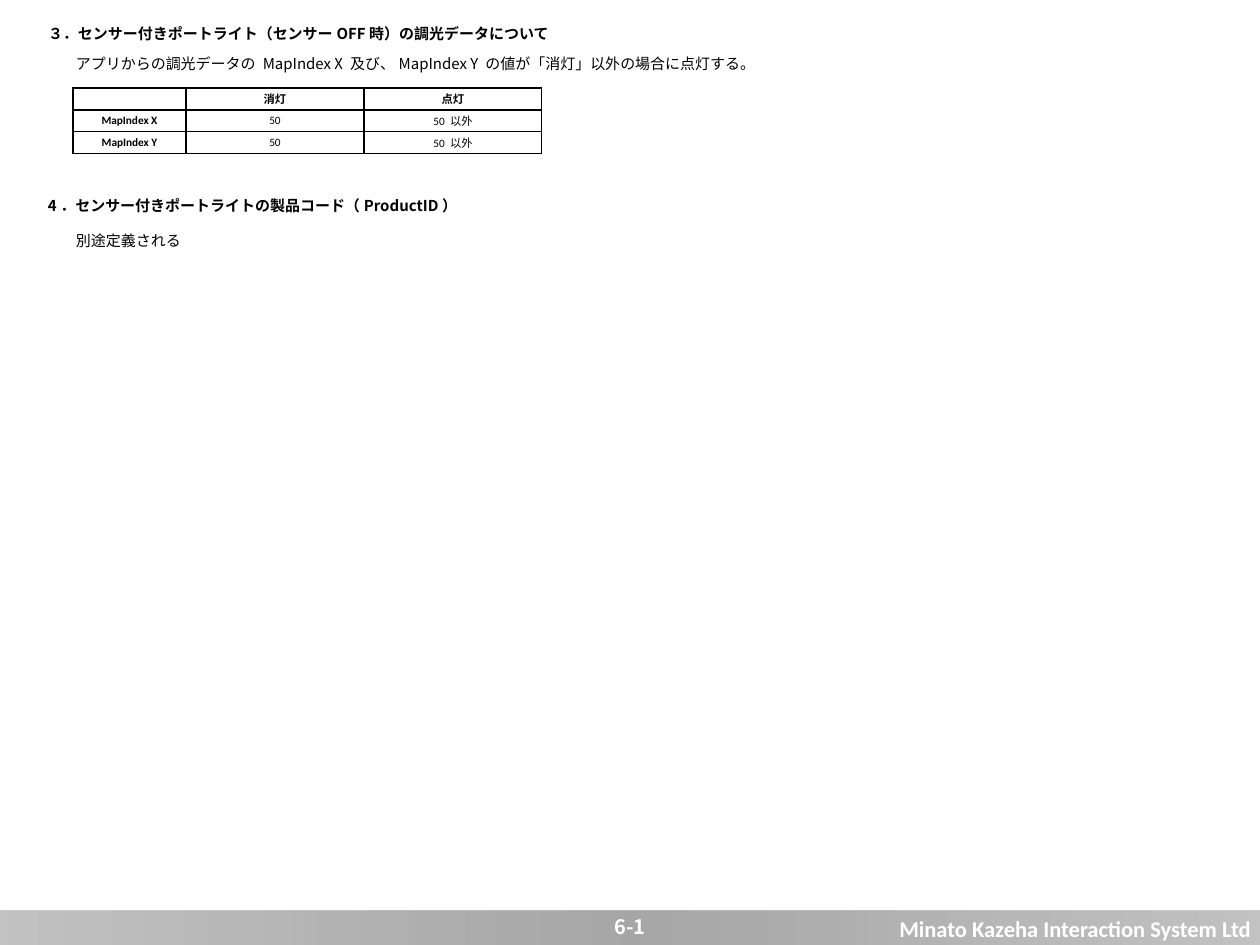
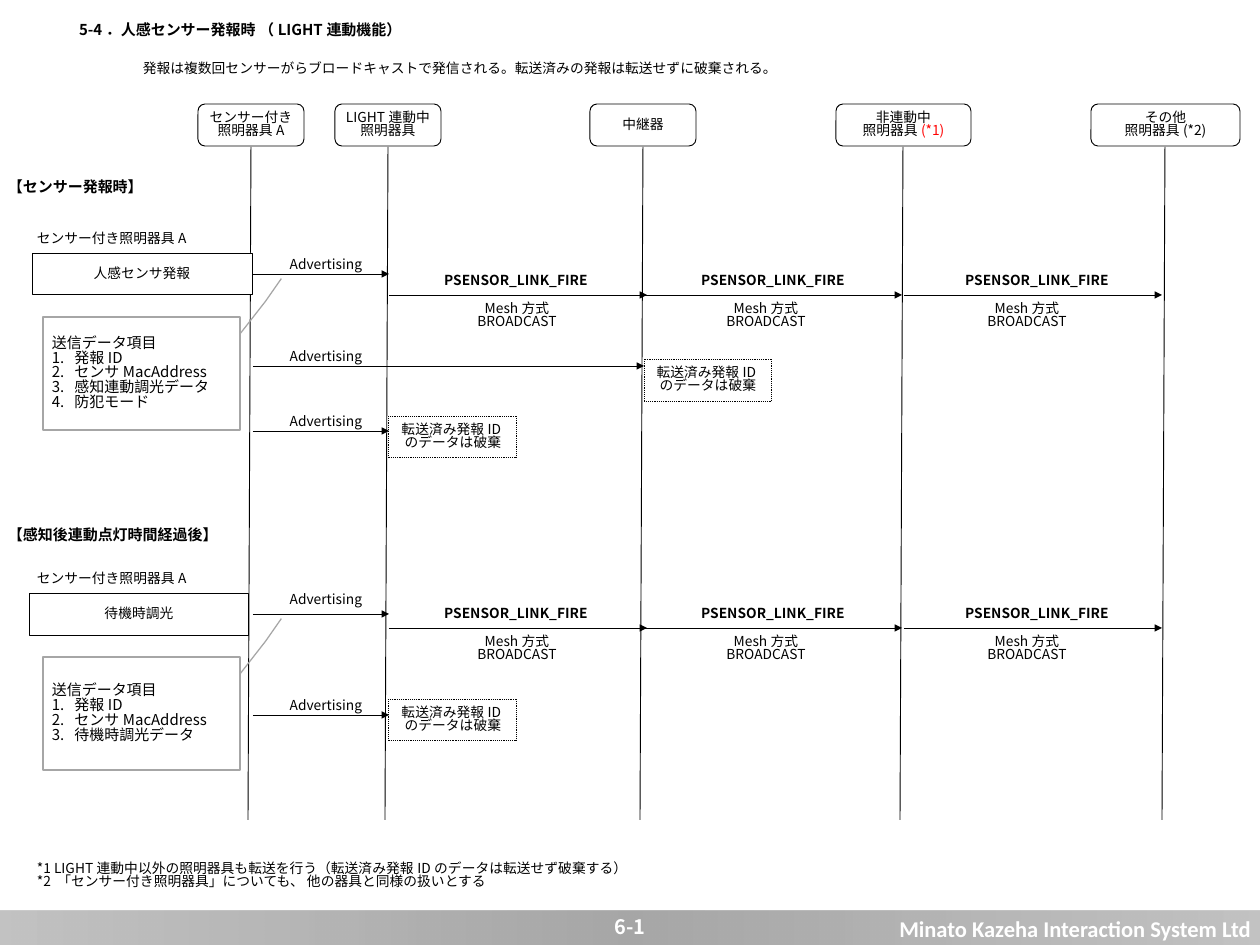
from lxml.etree import SubElement
from pptx import Presentation
from pptx.dml.color import RGBColor
from pptx.enum.dml import MSO_LINE
from pptx.enum.shapes import MSO_CONNECTOR as Connector, MSO_SHAPE as Shape
from pptx.enum.text import MSO_ANCHOR as Anchor, MSO_AUTO_SIZE as AutoSize, PP_ALIGN as Align
from pptx.oxml import parse_xml
from pptx.oxml.ns import nsdecls, qn
from pptx.util import Emu, Pt

PX = 914400 // 90
WIDTH, HEIGHT = 1260, 945
COLORS = {"ink": "000000", "paper": "FFFFFF", "callout": "A6A6A6", "mark": "FF0000",
          "band_edge": "C0C0C0", "band_middle": "A7A7A7"}
GOTHIC, LATIN = "Noto Sans CJK JP", "Calibri"
COMPANY = "Minato Kazeha Interaction System Ltd"
PAGE_LABEL = "6-1"
ROW = 42


def px(*lengths):
    return [Emu(length * PX) for length in lengths]


def rgb(name):
    return RGBColor.from_string(COLORS[name])


class Deck:
    """Holds the shared style and the slide being filled."""

    def __init__(self):
        self.presentation = Presentation()
        self.presentation.slide_width, self.presentation.slide_height = px(WIDTH, HEIGHT)
        self.layout = self.presentation.slide_layouts[5]
        self.slide = None

    def new_slide(self, title, left, top):
        first = self.slide is None
        self.slide = self.presentation.slides.add_slide(self.layout)
        if first:
            self.add_band()
        shape = self.slide.shapes.title
        shape.left, shape.top, shape.width, shape.height = px(left, top, 814, 27)
        shape.text_frame.auto_size = AutoSize.NONE
        self.set_text(shape.text_frame, [title], 12, bold=True, anchor=Anchor.TOP)
        self.text(PAGE_LABEL, 0, 914, WIDTH, 33, 16, True, Align.CENTER, Anchor.TOP, "paper")

    def add_band(self):
        """Draw the footer band and hand it to the layout."""
        band = self.box([COMPANY], 0, 911, WIDTH, 36, size=18, bold=True, color="paper",
                        font=LATIN, align=Align.RIGHT, fill=None, line=None)
        stops = "".join(
            f'<a:gs pos="{position}"><a:srgbClr val="{COLORS[name]}">'
            f'<a:alpha val="{alpha}"/></a:srgbClr></a:gs>'
            for position, name, alpha in ((0, "band_edge", 95000), (50000, "band_middle", 100000),
                                          (100000, "band_edge", 95000)))
        gradient = parse_xml(f'<a:gradFill {nsdecls("a")}><a:gsLst>{stops}</a:gsLst>'
                             '<a:lin ang="0" scaled="0"/></a:gradFill>')
        properties = band._element.spPr
        properties.replace(properties.find(qn("a:noFill")), gradient)
        band._element.nvSpPr.cNvPr.set("id", "20")
        self.layout.shapes._spTree.append(band._element)

    def set_text(self, frame, lines, size, bold=False, align=Align.LEFT, anchor=Anchor.MIDDLE,
                 color="ink", font=GOTHIC):
        frame.word_wrap = True
        frame.vertical_anchor = anchor
        for index, line in enumerate(lines):
            paragraph = frame.add_paragraph() if index else frame.paragraphs[0]
            paragraph.text = line
            paragraph.alignment = align
            if font == GOTHIC:
                paragraph.line_spacing = 0.83
            paragraph.font.size = Pt(size)
            paragraph.font.bold = bold
            paragraph.font.name = font
            paragraph.font.color.rgb = rgb(color)
            SubElement(paragraph._p.pPr.find(qn("a:defRPr")), qn("a:ea"), typeface=GOTHIC)
            if not line:
                SubElement(paragraph._p, qn("a:endParaRPr"), sz=str(size * 100))

    def text(self, line, left, top, width, height=ROW, size=11, bold=False, align=Align.LEFT,
             anchor=Anchor.MIDDLE, color="ink"):
        shape = self.slide.shapes.add_textbox(*px(left, top, width, height))
        self.set_text(shape.text_frame, [line], size, bold, align, anchor, color)

    def box(self, lines, left, top, width, height=ROW, kind=Shape.RECTANGLE, fill="paper",
            line="ink", weight=0.75, dash=None, size=11, align=Align.CENTER, **style):
        shape = self.slide.shapes.add_shape(kind, *px(left, top, width, height))
        shape.shadow.inherit = False
        if fill:
            shape.fill.solid()
            shape.fill.fore_color.rgb = rgb(fill)
        else:
            shape.fill.background()
        if line:
            shape.line.color.rgb = rgb(line)
            shape.line.width = Pt(weight)
            if dash:
                shape.line.dash_style = dash
        else:
            shape.line.fill.background()
        self.set_text(shape.text_frame, lines, size, align=align, **style)
        return shape

    def callout(self, heading, items, left, top):
        shape = self.box([heading, *items], left, top, 197, 113, Shape.LINE_CALLOUT_2,
                         fill=None, line="callout", weight=1, size=12, align=Align.LEFT)
        for index, value in enumerate((0.15, 1, -0.14, 1.13, -0.34, 1.21)):
            shape.adjustments[index] = value
        for index, paragraph in enumerate(shape.text_frame.paragraphs):
            properties = paragraph._p.pPr
            properties.set("marL", "228600")
            properties.set("indent", "-228600")
            if index:
                numbering = parse_xml(f'<a:buAutoNum {nsdecls("a")} type="arabicPeriod"/>')
                properties.find(qn("a:defRPr")).addprevious(numbering)

    def line(self, x1, y1, x2, y2, arrow=False):
        connector = self.slide.shapes.add_connector(Connector.STRAIGHT, *px(x1, y1, x2, y2))
        connector.line.color.rgb = rgb("ink")
        connector.line.width = Pt(0.75)
        properties = connector._element.spPr
        if arrow:
            SubElement(properties.find(qn("a:ln")), qn("a:tailEnd"), type="triangle")
        SubElement(properties, qn("a:effectLst"))

    def table(self, rows, left, top, widths, row_height):
        frame = self.slide.shapes.add_table(
            len(rows), len(widths), *px(left, top, sum(widths), row_height * len(rows)))
        table = frame.table
        table.first_row = table.horz_banding = False
        for column, width in zip(table.columns, px(*widths)):
            column.width = width
        for row_index, values in enumerate(rows):
            table.rows[row_index].height = Emu(row_height * PX)
            for column_index, value in enumerate(values):
                cell = table.cell(row_index, column_index)
                cell.margin_top = cell.margin_bottom = Emu(PX)
                cell.vertical_anchor = Anchor.MIDDLE
                cell.fill.solid()
                cell.fill.fore_color.rgb = rgb("paper")
                heading = row_index == 0 or column_index == 0
                self.set_text(cell.text_frame, [value], 9, heading, Align.CENTER, font=LATIN)
                for index, side in enumerate(("lnL", "lnR", "lnT", "lnB")):
                    border = parse_xml(
                        f'<a:{side} {nsdecls("a")} w="12700"><a:solidFill>'
                        f'<a:srgbClr val="{COLORS["ink"]}"/></a:solidFill></a:{side}>')
                    cell._tc.tcPr.insert(index, border)

    # Parts of the sequence diagram
    def advertising(self, y, end, label_rise=30):
        self.line(253, y, end, y, arrow=True)
        self.text("Advertising", 262, y - label_rise, 128, align=Align.CENTER)

    def discard_note(self, left, top):
        self.box(["転送済み発報IDのデータは破棄"], left, top, 128, fill=None,
                 dash=MSO_LINE.ROUND_DOT)

    def link_row(self, y):
        for start, end, label_left, mesh_left in ((389, 647, 385, 448), (644, 902, 642, 697),
                                                  (904, 1162, 906, 958)):
            self.line(start, y, end, y, arrow=True)
            self.text("PSENSOR_LINK_FIRE", label_left, y - 35, 262, bold=True,
                      align=Align.CENTER)
            self.text("Mesh方式\nBROADCAST", mesh_left, y, 138, align=Align.CENTER)

    def sensor_group(self, heading, heading_top, top, box_left, event, items):
        self.text(heading, -1, heading_top, 284, size=12, bold=True)
        self.text("センサー付き照明器具A", 28, top, 284)
        self.box([event], box_left, top + 35, 220)
        self.callout("送信データ項目", items, 43, top + 99)


def build_dimming_slide(deck):
    deck.new_slide("３．センサー付きポートライト（センサーOFF時）の調光データについて", 39, 23)
    deck.text("アプリからの調光データの MapIndex X 及び、MapIndex Y の値が「消灯」以外の場合に点灯する。",
              67, 53, 814, 27, 12, anchor=Anchor.TOP)
    deck.table([["", "消灯", "点灯"],
                ["MapIndex X", "50", "50 以外"],
                ["MapIndex Y", "50", "50 以外"]], 73, 88, [113, 178, 178], 22)
    deck.text("4．センサー付きポートライトの製品コード（ProductID）", 39, 195, 814, 27, 12, True,
              anchor=Anchor.TOP)
    deck.text("別途定義される", 67, 230, 814, 27, 12, anchor=Anchor.TOP)


def build_sequence_slide(deck):
    deck.new_slide("5-4．人感センサー発報時 （LIGHT連動機能）", 70, 19)
    deck.text("発報は複数回センサーがらブロードキャストで発信される。転送済みの発報は転送せずに破棄される。",
              134, 48, 1063)

    # Participants and lifelines
    participants = ((["センサー付き", "照明器具A"], 251, 106, ""),
                    (["LIGHT連動中", "照明器具"], 388, 106, ""),
                    (["中継器"], 643, 106, ""),
                    (["非連動中", "照明器具"], 903, 135, "(*1)"),
                    (["その他", "照明器具(*2)"], 1165, 149, ""))
    for lines, center, width, mark in participants:
        head = deck.box(lines, center - width // 2, 104, width, kind=Shape.ROUNDED_RECTANGLE)
        if mark:
            run = head.text_frame.paragraphs[-1].add_run()
            run.text = mark
            run.font.color.rgb = rgb("mark")
        deck.line(center, 147, center - 3, 820)

    # Sensor fires
    deck.sensor_group("【センサー発報時】", 167, 218, 32, "人感センサ発報",
                      ["発報ID", "センサMacAddress", "感知連動調光データ", "防犯モード"])
    deck.advertising(274, 389)
    deck.link_row(295)
    deck.advertising(366, 644)
    deck.discard_note(644, 359)
    deck.advertising(431, 389)
    deck.discard_note(389, 416)

    # Linked lighting time is over
    deck.sensor_group("【感知後連動点灯時間経過後】", 515, 558, 29, "待機時調光",
                      ["発報ID", "センサMacAddress", "待機時調光データ"])
    deck.advertising(614, 389, label_rise=35)
    deck.link_row(628)
    deck.advertising(715, 389)
    deck.discard_note(389, 699)

    # Footnotes
    deck.text("*1 LIGHT連動中以外の照明器具も転送を行う（転送済み発報IDのデータは転送せず破棄する）\n"
              "*2 「センサー付き照明器具」についても、 他の器具と同様の扱いとする", 28, 855, 1148)


def main():
    deck = Deck()
    build_dimming_slide(deck)
    build_sequence_slide(deck)
    deck.presentation.save("out.pptx")


if __name__ == "__main__":
    main()
